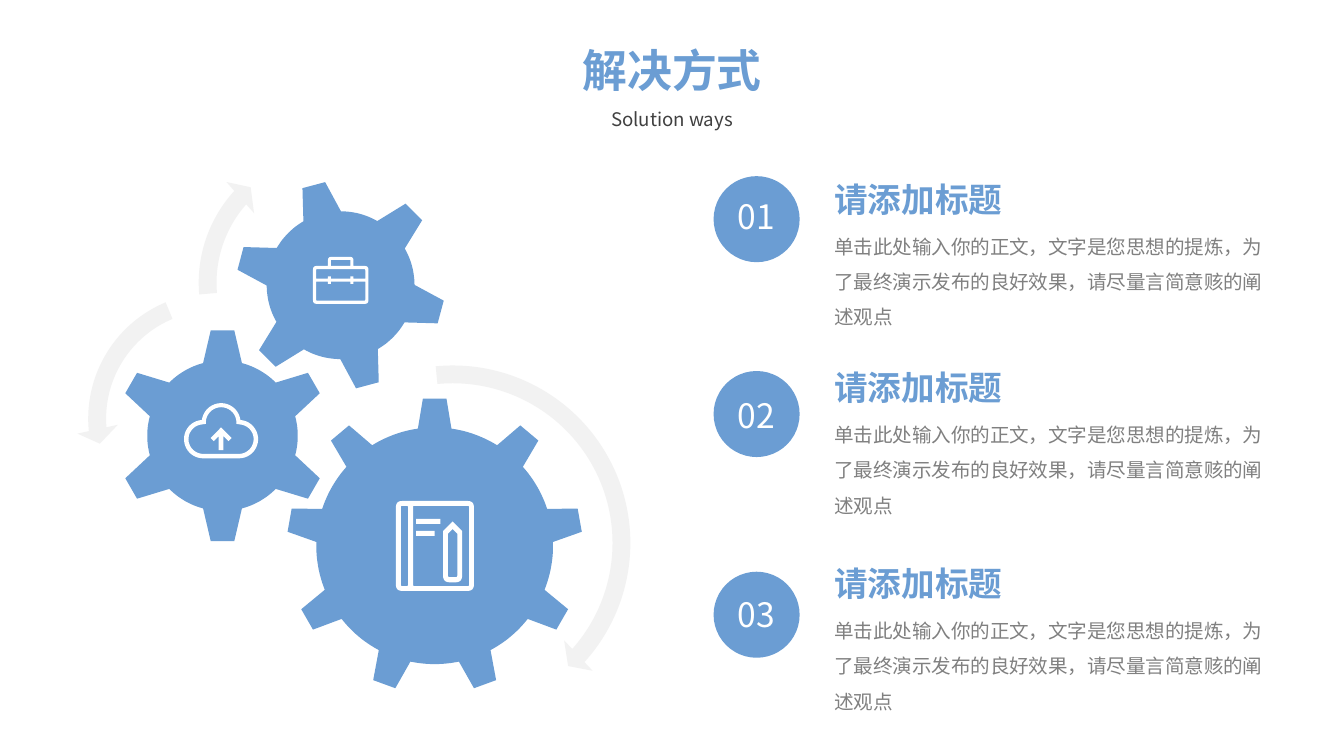
import math

import pptx
import pptx.dml.color
import pptx.enum.shapes
import pptx.enum.text
import pptx.util

Pt = pptx.util.Pt
MSO_SHAPE = pptx.enum.shapes.MSO_SHAPE
BLUE, WHITE, PALE = "6B9DD3", "FFFFFF", "F2F2F2"
SANS = "Noto Sans CJK SC"

presentation = pptx.Presentation()
presentation.slide_width = Pt(720)
presentation.slide_height = Pt(405)
slide = presentation.slides.add_slide(presentation.slide_layouts[6])


def paint(shape, color):
    shape.shadow.inherit = False
    shape.fill.solid()
    shape.fill.fore_color.rgb = pptx.dml.color.RGBColor.from_string(color)
    shape.line.fill.background()


def add_text(text, left, top, width, height, size, color, font=SANS,
             bold=False, wrap=True, centered=False, spacing=1.0):
    box = slide.shapes.add_textbox(Pt(left), Pt(top), Pt(width), Pt(height))
    frame = box.text_frame
    frame.word_wrap = wrap
    frame.auto_size = pptx.enum.text.MSO_AUTO_SIZE.SHAPE_TO_FIT_TEXT
    paragraph = frame.paragraphs[0]
    paragraph.line_spacing = spacing
    if centered:
        paragraph.alignment = pptx.enum.text.PP_ALIGN.CENTER
    run = paragraph.add_run()
    run.text = text
    run.font.name = font
    run.font.size = Pt(size)
    run.font.bold = bold
    run.font.color.rgb = pptx.dml.color.RGBColor.from_string(color)


arrows = [
    (MSO_SHAPE.CIRCULAR_ARROW, 141.1, 189.4, 203,
     (0.047, 2.99, 25.131, 158.679, 0.055)),
    (MSO_SHAPE.LEFT_CIRCULAR_ARROW, 41, 150.5, 147.6,
     (0.065, 4.3, 104.891, 148.378, 0.075)),
    (MSO_SHAPE.CIRCULAR_ARROW, 100.1, 72, 159.1,
     (0.06, 3.941, 133.138, 105.082, 0.07)),
]
for kind, left, top, size, adjustments in arrows:
    arrow = slide.shapes.add_shape(kind, Pt(left), Pt(top), Pt(size), Pt(size))
    for index, value in enumerate(adjustments):
        arrow.adjustments[index] = value
    paint(arrow, PALE)

outlines = []
gears = [
    (232.9, 292.4, 63.4, 78.9, 9, 6.3, 9, 0),
    (119.2, 233.5, 40.3, 56.5, 10.4, 6.3, 6, 0),
    (182.5, 152.8, 39.6, 55.5, 10.4, 6.3, 6, -15),
]
for center_x, center_y, radius, tip, base_half, tip_half, teeth, turn in gears:
    gear = []
    base_angle = math.asin(base_half / radius)
    gap = 2 * math.pi / teeth - 2 * base_angle
    for tooth in range(teeth):
        middle = math.radians(turn) + 2 * math.pi * tooth / teeth
        tip_angle = math.atan(tip_half / tip)
        tip_radius = math.hypot(tip, tip_half)
        polar = [(tip_radius, middle - tip_angle), (tip_radius, middle + tip_angle)]
        polar += [(radius, middle + base_angle + gap * step / 12) for step in range(13)]
        gear += [(center_x + reach * math.sin(angle), center_y - reach * math.cos(angle))
                 for reach, angle in polar]
    outlines.append((BLUE, [gear]))

clasps = (175.7, 177.3), (187.8, 189.4)
briefcase = [
    [(167.7, 142.5, 2), (175.7, 142.5), (175.7, 137.6, 2), (189.4, 137.6, 2),
     (189.4, 142.5), (197.4, 142.5, 2), (197.4, 162.8, 2), (167.7, 162.8, 2)],
    [(177.3, 142.5), (177.3, 139.2, 0.5), (187.8, 139.2, 0.5), (187.8, 142.5)],
]
for far_edge, near_edge, notch in ((144.2, 149.3, 148.1), (161.1, 150.9, 152.1)):
    window = [(195.7, far_edge, 0.5), (169.4, far_edge, 0.5), (169.4, near_edge)]
    for start, end in clasps:
        window += [(start, near_edge), (start, notch), (end, notch), (end, near_edge)]
    briefcase.append(window + [(195.7, near_edge)])
outlines.append((WHITE, briefcase))

notebook = [
    [(left, top, corner), (right, top, corner), (right, bottom, corner), (left, bottom, corner)]
    for left, top, right, bottom, corner in (
        (212.1, 268.4, 253.9, 316.6, 3.4),
        (214.8, 271, 218.6, 314, 0.6),
        (221.3, 271, 251.3, 314, 0.6))
]
pencil = [
    [(left, shoulder), (242.5, tip), (right, shoulder), (right, bottom, corner), (left, bottom, corner)]
    for left, right, tip, shoulder, bottom, corner in (
        (237.4, 247.6, 279.4, 284.5, 312, 3.6),
        (240, 245, 283.4, 286, 309.2, 0.8))
]
outlines += [(WHITE, notebook), (WHITE, pencil)]

cloud = []
for side_radius, top_radius in ((10.3, 10.4), (7.9, 8.2)):
    lobes = [(108.9, 235.3, side_radius, 90, 265),
             (118.5, 226.4, top_radius, 175, 365),
             (128, 235.3, side_radius, -85, 90)]
    cloud.append([
        (x + radius * math.cos(math.radians(start + (end - start) * step / 20)),
         y + radius * math.sin(math.radians(start + (end - start) * step / 20)))
        for x, y, radius, start, end in lobes for step in range(21)])
upload = [(112.8, 234.7), (114.5, 236.4), (117.2, 233.6), (117.2, 241.2), (119.7, 241.2),
          (119.7, 233.6), (122.4, 236.4), (124.1, 234.7), (118.45, 229)]
outlines += [(WHITE, [upload]), (WHITE, cloud)]

for color, contours in outlines:
    builder = None
    for contour in contours:
        points = []
        for index, (x, y, *corner) in enumerate(contour):
            if not corner:
                points.append((x * 100, y * 100))
                continue
            ends = []
            for neighbor in (contour[index - 1], contour[(index + 1) % len(contour)]):
                share = corner[0] / math.dist((x, y), neighbor[:2])
                ends.append((x + share * (neighbor[0] - x), y + share * (neighbor[1] - y)))
            for step in range(7):
                t = step / 6
                points.append(tuple(
                    100 * ((1 - t) ** 2 * start + 2 * t * (1 - t) * middle + t ** 2 * end)
                    for start, middle, end in zip(ends[0], (x, y), ends[1])))
        if builder is None:
            builder = slide.shapes.build_freeform(*points[0], scale=Pt(1) / 100)
        else:
            builder.move_to(*points[0])
        builder.add_line_segments(points[1:], close=True)
    paint(builder.convert_to_shape(), color)

for top, width in ((284.4, 10), (278, 13)):
    text_line = slide.shapes.add_shape(MSO_SHAPE.RECTANGLE, Pt(222.9), Pt(top), Pt(width), Pt(2.7))
    paint(text_line, WHITE)

body = "单击此处输入你的正文，文字是您思想的提炼，为了最终演示发布的良好效果，请尽量言简意赅的阐述观点"
rows = [("01", 94.4, 92.2), ("02", 198.8, 193), ("03", 306.3, 298.1)]
for index, (number, circle_top, heading_top) in enumerate(rows):
    circle = slide.shapes.add_shape(MSO_SHAPE.OVAL, Pt(382.3), Pt(circle_top), Pt(46.1), Pt(46.1))
    paint(circle, BLUE)
    add_text(number, 386.6, 101.5 + 106.6 * index, 37.4, 28.8, size=18, color=WHITE, centered=True)
    add_text("请添加标题", 439.9, heading_top, 104.4, 28.8, size=18, color=BLUE, bold=True, wrap=False)
    add_text(body, 439.9, heading_top + 23.8, 245.5, 64.8, size=10.5, color="808080",
             font="Calibri", spacing=1.5)

add_text("解决方式", 304.2, 19.4, 111.6, 36, size=24, color=BLUE, bold=True, wrap=False, centered=True)
add_text("Solution ways", 290.2, 48.2, 139.7, 23, size=10, color="404040", centered=True, spacing=1.5)

presentation.save("out.pptx")
